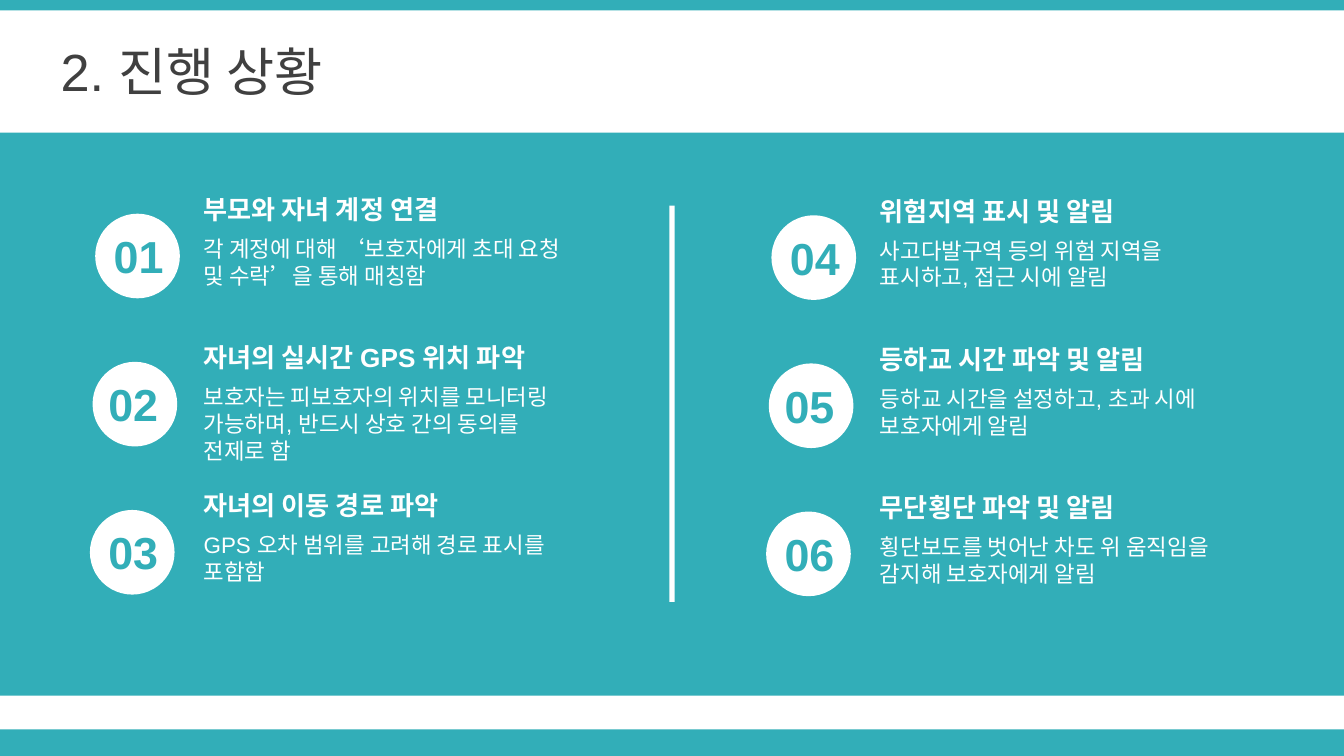
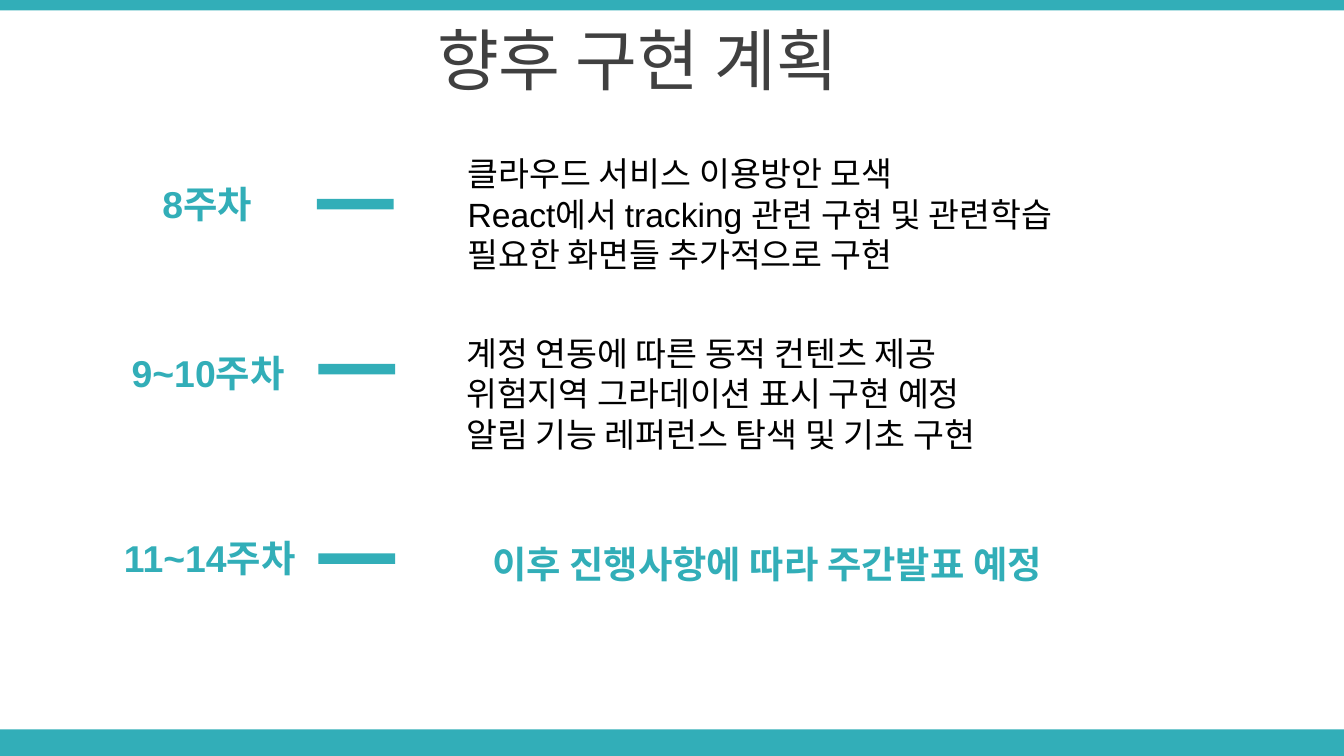
from pptx import Presentation
from pptx.dml.color import RGBColor
from pptx.enum import shapes, text
from pptx.util import Cm, Pt

TEAL, WHITE, GRAY, BLACK = "32AEB8", "FFFFFF", "404040", "000000"
FONT = "Arial"
WIDE, HIGH = 25.4, 14.29
RECT, OVAL = shapes.MSO_SHAPE.RECTANGLE, shapes.MSO_SHAPE.OVAL
LEFT, MID = text.PP_ALIGN.LEFT, text.PP_ALIGN.CENTER

TASKS = [
    ("부모와 자녀 계정 연결",
     "각 계정에 대해 ‘보호자에게 초대 요청 및 수락’을 통해 매칭함"),
    ("자녀의 실시간 GPS 위치 파악",
     "보호자는 피보호자의 위치를 모니터링 가능하며, 반드시 상호 간의 동의를 전제로 함"),
    ("자녀의 이동 경로 파악",
     "GPS 오차 범위를 고려해 경로 표시를 포함함"),
    ("위험지역 표시 및 알림",
     "사고다발구역 등의 위험 지역을 표시하고, 접근 시에 알림"),
    ("등하교 시간 파악 및 알림",
     "등하교 시간을 설정하고, 초과 시에 보호자에게 알림"),
    ("무단횡단 파악 및 알림",
     "횡단보도를 벗어난 차도 위 움직임을 감지해 보호자에게 알림"),
]

WEEKS = [
    ("8주차", 1.83, 3.3, 5.99, 3.76),
    ("9~10주차", 1.85, 6.5, 6.02, 6.88),
    ("11~14주차", 1.88, 10.0, 6.02, 10.46),
]

PLANS = [
    (8.59, 2.77, ["클라우드 서비스 이용방안 모색",
                  "React에서 tracking 관련 구현 및 관련학습",
                  "필요한 화면들 추가적으로 구현"]),
    (8.56, 6.17, ["계정 연동에 따른 동적 컨텐츠 제공",
                  "위험지역 그라데이션 표시 구현 예정",
                  "알림 기능 레퍼런스 탐색 및 기초 구현"]),
]


def color(code):
    """Turn a hex string into a colour."""
    return RGBColor.from_string(code)


def place(item, x, y, w, h):
    """Move and size a shape in centimetres."""
    item.left, item.top, item.width, item.height = map(Cm, (x, y, w, h))


def write(frame, lines, size, code, bold=False, align=LEFT):
    """Fill a text frame with one paragraph per line."""
    frame.word_wrap = True
    frame.text = "\n".join(lines)
    for para in frame.paragraphs:
        para.alignment = align
        font = para.font
        font.name, font.size, font.bold = FONT, Pt(size), bold
        font.color.rgb = color(code)


def label(slide, box, lines, size, code, bold=False, align=LEFT):
    """Add a text box."""
    item = slide.shapes.add_textbox(*map(Cm, box))
    write(item.text_frame, lines, size, code, bold, align)


def block(slide, kind, box, code):
    """Add a plain filled shape."""
    item = slide.shapes.add_shape(kind, *map(Cm, box))
    item.shadow.inherit = False
    item.fill.solid()
    item.fill.fore_color.rgb = color(code)
    item.line.fill.background()


def start(deck, title, box, size, align):
    """Add a slide with its title and the two edge bands."""
    slide = deck.slides.add_slide(deck.slide_layouts[5])
    block(slide, RECT, (0, 13.79, WIDE, 0.5), TEAL)
    block(slide, RECT, (0, 0, WIDE, 0.2), TEAL)
    head = slide.shapes.title
    place(head, *box)
    frame = head.text_frame
    frame.auto_size = text.MSO_AUTO_SIZE.NONE
    frame.vertical_anchor = text.MSO_ANCHOR.MIDDLE
    write(frame, [title], size, GRAY, align=align)
    return slide


def task(slide, index, head, body):
    """Add a numbered task at its place in the two columns."""
    col, row = divmod(index, 3)
    x, y = 12.78 * col, 0.03 * col + 2.8 * row
    block(slide, OVAL, (x + 1.8 - 0.05 * row, y + 4.04, 1.6, 1.6), WHITE)
    shift = 1.63 if row else 1.73
    label(slide, (x + shift, y + 4.2, 1.78, 1.27), [f"{index + 1:02}"],
          24, TEAL, True, MID)
    label(slide, (x + 3.6, y + 3.53, 7.39, 0.86), [head], 14, WHITE, True)
    label(slide, (x + 3.6, y + 4.32, 7.39, 1.27), [body], 12, WHITE)


def status(deck):
    """Build the progress slide."""
    slide = start(deck, "2. 진행 상황", (0.89, 0.53, 22.8, 1.6), 28, LEFT)
    block(slide, RECT, (0, 2.51, WIDE, 10.64), TEAL)
    block(slide, RECT, (12.65, 3.89, 0.1, 7.49), WHITE)
    for index, (head, body) in enumerate(TASKS):
        task(slide, index, head, body)


def future(deck):
    """Build the plan slide."""
    slide = start(deck, "향후 구현 계획", (0, 0.28, 24.1, 1.65), 36, MID)
    for week, x, y, dash_x, dash_y in WEEKS:
        label(slide, (x, y, 4.17, 1.12), [week], 20, TEAL, True, MID)
        block(slide, RECT, (dash_x, dash_y, 1.45, 0.2), TEAL)
    for x, y, lines in PLANS:
        label(slide, (x, y, 12.9, 2.57), lines, 18, BLACK)
    label(slide, (7.9, 10.11, 13.2, 1.12),
          ["이후 진행사항에 따라 주간발표 예정"], 20, TEAL, True, MID)


def main():
    """Build and save the deck."""
    deck = Presentation()
    deck.slide_width, deck.slide_height = Cm(WIDE), Cm(HIGH)
    status(deck)
    future(deck)
    deck.save("out.pptx")


if __name__ == "__main__":
    main()
